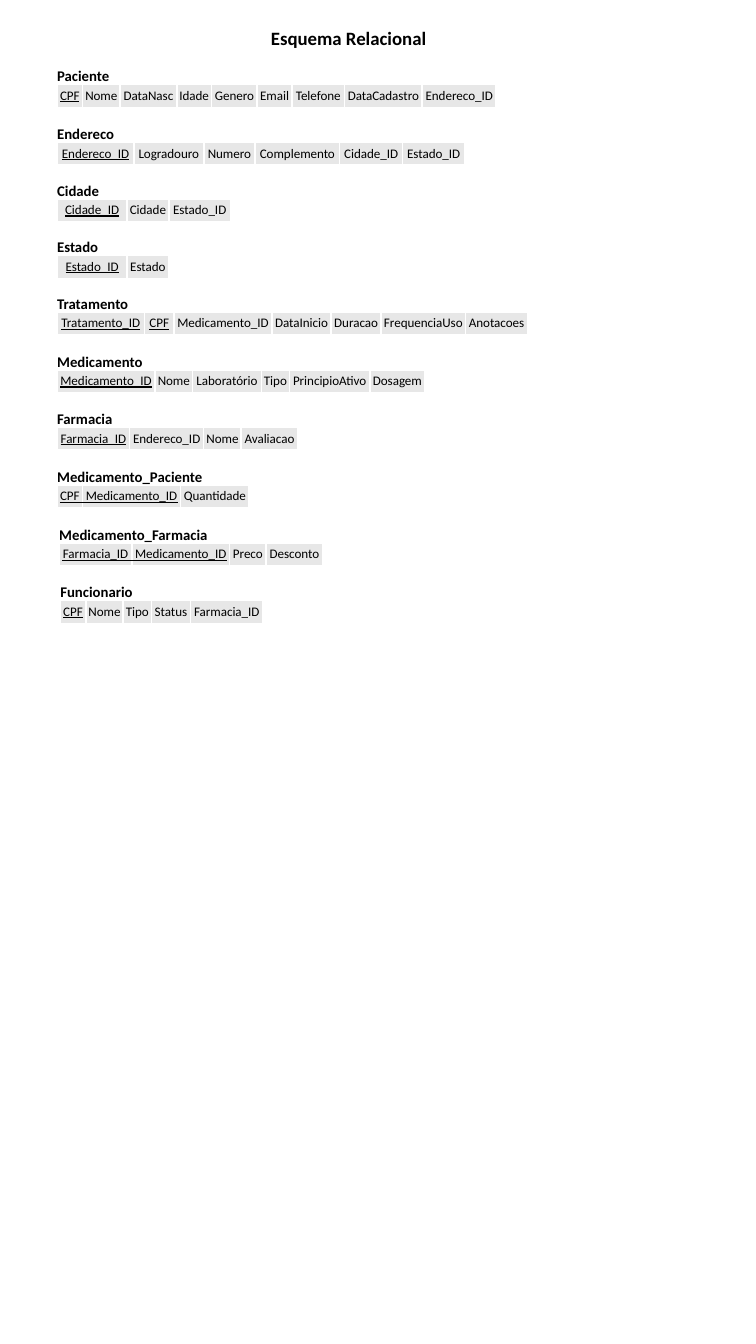
from dataclasses import dataclass

from lxml import etree
from pptx import Presentation
from pptx.dml.color import RGBColor
from pptx.enum.shapes import MSO_CONNECTOR
from pptx.enum.text import MSO_ANCHOR, MSO_AUTO_SIZE, PP_ALIGN
from pptx.oxml import parse_xml
from pptx.oxml.ns import nsdecls, qn
from pptx.util import Cm, Pt

STRAIGHT = MSO_CONNECTOR.STRAIGHT
MIDDLE = MSO_ANCHOR.MIDDLE
GROW = MSO_AUTO_SIZE.SHAPE_TO_FIT_TEXT
CENTER, LEFT = PP_ALIGN.CENTER, PP_ALIGN.LEFT

COLORS = {"ink": "000000", "cell": "E7E7E7", "border": "FFFFFF"}
FONT = "Calibri"

# Vertical rhythm in cm
FIRST_TOP = 1.6
ROW_HEIGHT = 0.43
NAME_HEIGHT = 0.33
KEY_LINE_DROP = 0.33
KEY_LINE_INSET = 0.05


@dataclass
class Relation:
    name: str
    name_width: float
    fields: list[tuple[str, float]]
    keys: int = 1
    left: float = 1.08
    joint_key: bool = False  # one line under all key fields
    pitch: float = 1.09  # distance down to the next relation


RELATIONS = [
    Relation("Paciente", 1.3, [
        ("CPF", 0.48), ("Nome", 0.71), ("DataNasc", 1.07), ("Idade", 0.66), ("Genero", 0.86),
        ("Email", 0.66), ("Telefone", 0.99), ("DataCadastro", 1.47), ("Endereco_ID", 1.4)]),
    Relation("Endereco", 1.3, [
        ("Endereco_ID", 1.45), ("Logradouro", 1.32), ("Numero", 0.97),
        ("Complemento", 1.6), ("Cidade_ID", 1.19), ("Estado_ID", 1.17)], pitch=1.07),
    Relation("Cidade", 1.3, [
        ("Cidade_ID", 1.32), ("Cidade", 0.79), ("Estado_ID", 1.17)], pitch=1.07),
    Relation("Estado", 1.3, [("Estado_ID", 1.32), ("Estado", 0.79)], pitch=1.07),
    Relation("Tratamento", 1.45, [
        ("Tratamento_ID", 1.65), ("CPF", 0.56), ("Medicamento_ID", 1.85), ("DataInicio", 1.12),
        ("Duracao", 0.94), ("FrequenciaUso", 1.6), ("Anotacoes", 1.17)], keys=2),
    Relation("Medicamento", 1.75, [
        ("Medicamento_ID", 1.85), ("Nome", 0.71), ("Laboratório", 1.3),
        ("Tipo", 0.53), ("PrincipioAtivo", 1.52), ("Dosagem", 1.04)]),
    Relation("Farmacia", 1.75, [
        ("Farmacia_ID", 1.37), ("Endereco_ID", 1.4), ("Nome", 0.71), ("Avaliacao", 1.07)]),
    Relation("Medicamento_Paciente", 2.97, [
        ("CPF", 0.48), ("Medicamento_ID", 1.85), ("Quantidade", 1.3)],
        keys=2, joint_key=True),
    Relation("Medicamento_Farmacia", 2.97, [
        ("Farmacia_ID", 1.37), ("Medicamento_ID", 1.85), ("Preco", 0.69), ("Desconto", 1.07)],
        keys=2, left=1.12, joint_key=True),
    Relation("Funcionario", 1.7, [
        ("CPF", 0.48), ("Nome", 0.71), ("Tipo", 0.53), ("Status", 0.74),
        ("Farmacia_ID", 1.37)], left=1.14),
]


def color(key: str) -> RGBColor:
    return RGBColor.from_string(COLORS[key])


def write(frame, text: str, size: float, align, bold: bool = False,
          underline: bool = False) -> None:
    frame.text = text
    paragraph = frame.paragraphs[0]
    paragraph.alignment = align
    font = paragraph.runs[0].font
    font.name, font.size, font.bold = FONT, Pt(size), bold
    font.underline = underline
    font.color.rgb = color("ink")


def add_heading(slide, text: str, box: tuple[float, float, float, float], size: float,
                align) -> None:
    frame = slide.shapes.add_textbox(*map(Cm, box)).text_frame
    frame.word_wrap = True
    frame.auto_size = GROW
    if align == LEFT:
        frame.margin_left = frame.margin_right = frame.margin_top = frame.margin_bottom = 0
    write(frame, text, size, align, bold=True)


def set_borders(cell) -> None:
    properties = cell._tc.get_or_add_tcPr()
    for index, side in enumerate(("lnL", "lnR", "lnT", "lnB")):
        properties.insert(index, parse_xml(
            f'<a:{side} {nsdecls("a")} w="{Pt(1)}"><a:solidFill>'
            f'<a:srgbClr val="{COLORS["border"]}"/></a:solidFill></a:{side}>'))


def add_fields(slide, relation: Relation, top: float) -> None:
    total = sum(width for _, width in relation.fields)
    table = slide.shapes.add_table(1, len(relation.fields), Cm(relation.left), Cm(top),
                                   Cm(total), Cm(ROW_HEIGHT)).table
    table.first_row = table.horz_banding = False
    for index, (field, width) in enumerate(relation.fields):
        table.columns[index].width = Cm(width)
        cell = table.cell(0, index)
        cell.margin_left = cell.margin_right = cell.margin_top = cell.margin_bottom = Cm(0.03)
        cell.vertical_anchor = MIDDLE
        cell.fill.solid()
        cell.fill.fore_color.rgb = color("cell")
        set_borders(cell)
        underline = index < relation.keys and not relation.joint_key
        write(cell.text_frame, field, 7, CENTER, underline=underline)


def add_key_line(slide, relation: Relation, top: float) -> None:
    key_width = sum(width for _, width in relation.fields[:relation.keys])
    start = relation.left + KEY_LINE_INSET
    end = relation.left + key_width - KEY_LINE_INSET
    y = Cm(top + KEY_LINE_DROP)
    key_line = slide.shapes.add_connector(STRAIGHT, Cm(start), y, Cm(end), y)
    key_line.line.color.rgb = color("ink")
    key_line.line.width = Pt(0.5)
    etree.SubElement(key_line._element.spPr, qn("a:effectLst"))


# Upright 9:16 page
prs = Presentation()
prs.slide_height = Cm(25.4)
prs.slide_width = prs.slide_height * 9 // 16
schema = prs.slides.add_slide(prs.slide_layouts[6])

# Title
add_heading(schema, "Esquema Relacional", (4.7, 0.38, 3.78, 0.69), 10.1, CENTER)

# Relations down the page
top = FIRST_TOP
for relation in RELATIONS:
    add_fields(schema, relation, top)
    add_heading(schema, relation.name,
                (relation.left, top - NAME_HEIGHT, relation.name_width, NAME_HEIGHT), 7.9, LEFT)
    if relation.joint_key:
        add_key_line(schema, relation, top)
    top += relation.pitch

prs.save("out.pptx")
